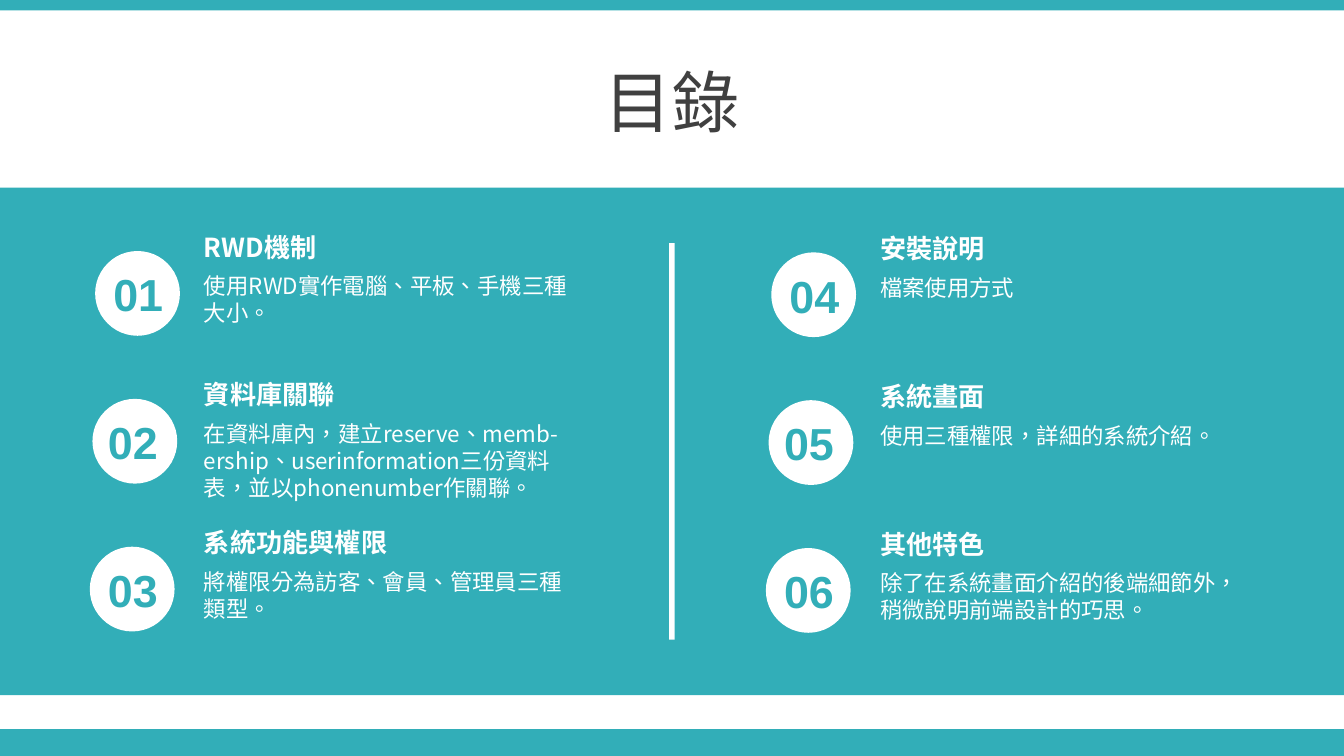
from dataclasses import dataclass

from lxml import etree
from pptx import Presentation
from pptx.dml.color import RGBColor
from pptx.enum.lang import MSO_LANGUAGE_ID
from pptx.enum.shapes import MSO_SHAPE
from pptx.enum.text import MSO_ANCHOR, MSO_AUTO_SIZE, PP_ALIGN
from pptx.oxml.ns import qn
from pptx.util import Pt

RECTANGLE = MSO_SHAPE.RECTANGLE
OVAL = MSO_SHAPE.OVAL
CENTER = PP_ALIGN.CENTER
LEFT = PP_ALIGN.LEFT
MIDDLE = MSO_ANCHOR.MIDDLE
NO_AUTOFIT = MSO_AUTO_SIZE.NONE
CHINESE = MSO_LANGUAGE_ID.TRADITIONAL_CHINESE
TITLE_ONLY = 5


@dataclass(frozen=True)
class Theme:
    teal: RGBColor = RGBColor(0x32, 0xAE, 0xB8)
    white: RGBColor = RGBColor(0xFF, 0xFF, 0xFF)
    dark: RGBColor = RGBColor(0x40, 0x40, 0x40)
    latin_font: str = "Arial"
    chinese_font: str = "Noto Sans CJK SC"
    title_size: int = 36
    number_size: int = 24
    heading_size: int = 14
    body_size: int = 12


THEME = Theme()
SLIDE_WIDTH, SLIDE_HEIGHT = 720, 405
ROW_STEP = 79.2
CIRCLE_DRIFT = -1.44
CIRCLE_SIZE = 45.4
NUMBER_SHIFTS = (2.9, 0, 0)

LEFT_ENTRIES = [
    ("01", "RWD機制", "使用RWD實作電腦、平板、手機三種大小。"),
    ("02", "資料庫關聯", "在資料庫內，建立reserve、memb-ership、userinformation"
     "三份資料表，並以phonenumber作關聯。"),
    ("03", "系統功能與權限", "將權限分為訪客、會員、管理員三種類型。"),
]
RIGHT_ENTRIES = [
    ("04", "安裝說明", "檔案使用方式"),
    ("05", "系統畫面", "使用三種權限，詳細的系統介紹。"),
    ("06", "其他特色", "除了在系統畫面介紹的後端細節外，稍微說明前端設計的巧思。"),
]


def add_block(slide, kind, left, top, width, height, color):
    shape = slide.shapes.add_shape(kind, Pt(left), Pt(top), Pt(width), Pt(height))
    shape.shadow.inherit = False
    shape.fill.solid()
    shape.fill.fore_color.rgb = color
    shape.line.fill.background()


def write_text(text_frame, text, size, color, font_name, bold=False, alignment=LEFT):
    paragraph = text_frame.paragraphs[0]
    paragraph.alignment = alignment
    run = paragraph.add_run()
    run.text = text
    run.font.size = Pt(size)
    run.font.bold = bold
    run.font.name = font_name
    run.font.color.rgb = color
    run.font.language_id = CHINESE
    east_asian = etree.SubElement(run._r.get_or_add_rPr(), qn("a:ea"))
    east_asian.set("typeface", THEME.chinese_font)


def add_label(slide, left, top, width, height, text, size, color, font_name,
              bold=False, alignment=LEFT):
    box = slide.shapes.add_textbox(Pt(left), Pt(top), Pt(width), Pt(height))
    box.text_frame.word_wrap = True
    write_text(box.text_frame, text, size, color, font_name, bold, alignment)


def add_header(slide, left, top, width, height):
    title = slide.shapes.title
    title.left, title.top = Pt(left), Pt(top)
    title.width, title.height = Pt(width), Pt(height)
    title.text_frame.auto_size = NO_AUTOFIT
    title.text_frame.vertical_anchor = MIDDLE
    write_text(title.text_frame, "目錄", THEME.title_size, THEME.dark,
               THEME.latin_font, alignment=CENTER)


def add_entry_column(slide, left, top, entries):
    for row, (number, heading, body) in enumerate(entries):
        row_top = top + row * ROW_STEP
        add_block(slide, OVAL, left + 5 + row * CIRCLE_DRIFT, row_top + 14.3,
                  CIRCLE_SIZE, CIRCLE_SIZE, THEME.white)
        add_label(slide, left + NUMBER_SHIFTS[row], row_top + 19.3, 50.4, 36,
                  number, THEME.number_size, THEME.teal, THEME.latin_font, True, CENTER)
        add_label(slide, left + 56.2, row_top + 22.3, 209.5, 36,
                  body, THEME.body_size, THEME.white, THEME.chinese_font)
        add_label(slide, left + 56.2, row_top, 209.5, 24.5,
                  heading, THEME.heading_size, THEME.white, THEME.chinese_font, True)


def add_contents_panel(slide, left, top, width, height):
    add_block(slide, RECTANGLE, left, top, width, height, THEME.teal)
    add_entry_column(slide, left + 46, top + 19.7, LEFT_ENTRIES)
    add_entry_column(slide, left + 408.2, top + 20.4, RIGHT_ENTRIES)
    add_block(slide, RECTANGLE, left + width / 2 - 1.45, top + 29.7, 2.9, 212.5, THEME.white)


def main():
    presentation = Presentation()
    presentation.slide_width = Pt(SLIDE_WIDTH)
    presentation.slide_height = Pt(SLIDE_HEIGHT)
    slide = presentation.slides.add_slide(presentation.slide_layouts[TITLE_ONLY])
    add_block(slide, RECTANGLE, 0, 0, SLIDE_WIDTH, 5.6, THEME.teal)
    add_block(slide, RECTANGLE, 0, 390.6, SLIDE_WIDTH, 14.4, THEME.teal)
    add_header(slide, 0, 31, SLIDE_WIDTH, 45.4)
    add_contents_panel(slide, 0, 100.5, SLIDE_WIDTH, 272)
    presentation.save("out.pptx")


if __name__ == "__main__":
    main()
